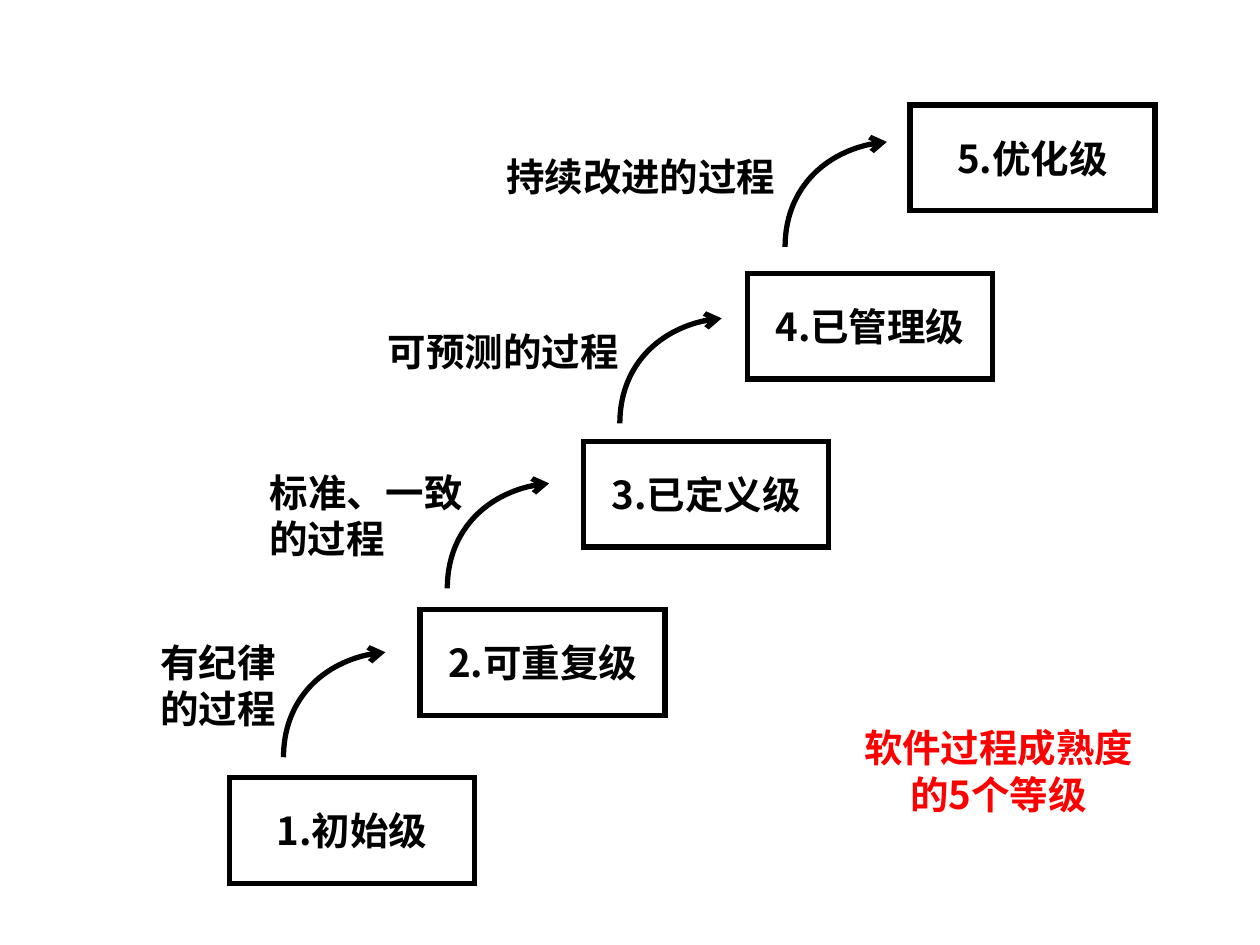
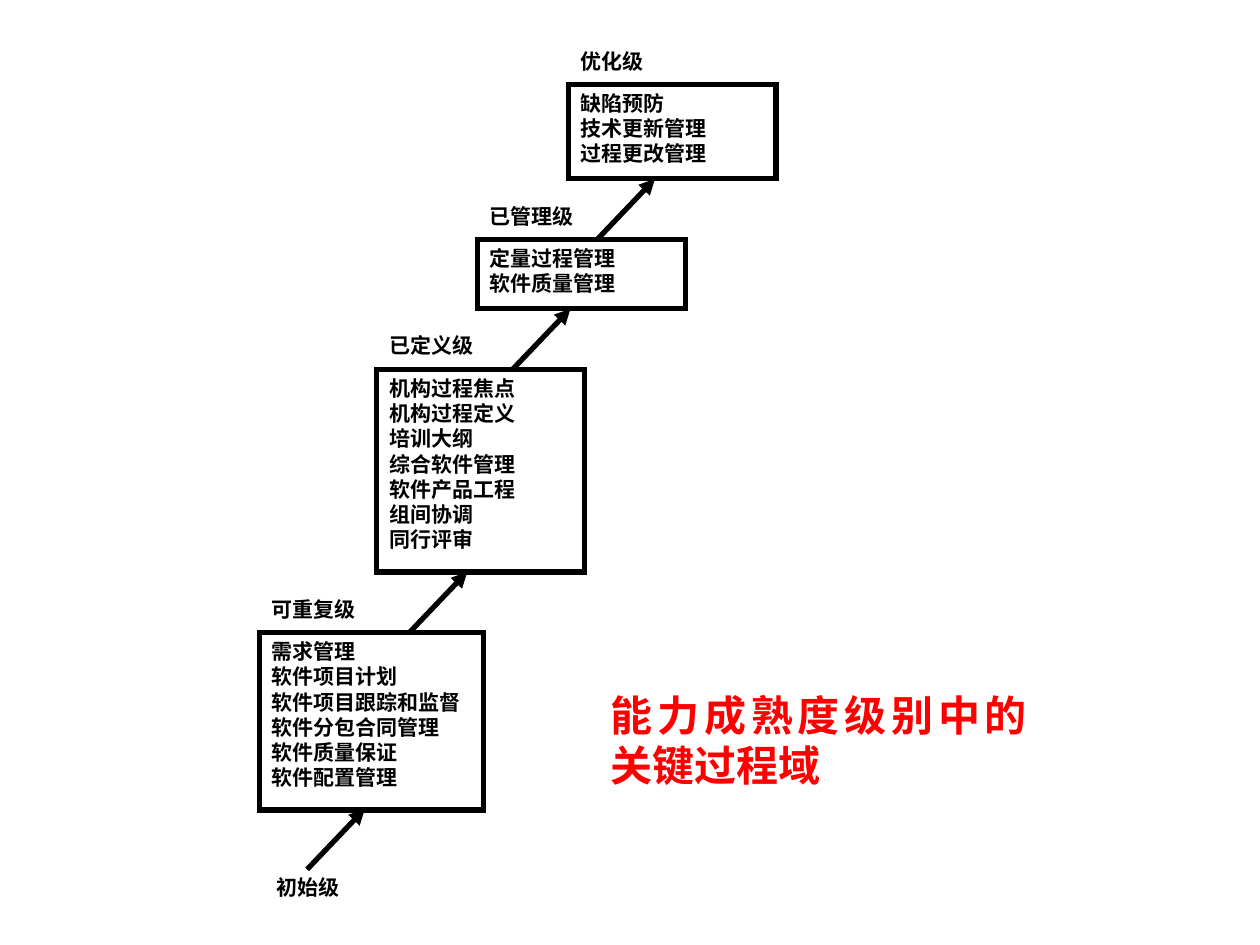
from lxml import etree
from pptx import Presentation
from pptx.dml.color import RGBColor
from pptx.enum.shapes import MSO_CONNECTOR, MSO_SHAPE
from pptx.enum.text import MSO_ANCHOR, PP_ALIGN
from pptx.oxml.ns import qn
from pptx.util import Pt

BLACK = RGBColor(0, 0, 0)
RED = RGBColor(255, 0, 0)
SANS = "Noto Sans CJK SC"
SERIF = "Times New Roman"
CENTER, JUSTIFY = PP_ALIGN.CENTER, PP_ALIGN.JUSTIFY
TOP, MIDDLE = MSO_ANCHOR.TOP, MSO_ANCHOR.MIDDLE
RECT, STRAIGHT = MSO_SHAPE.RECTANGLE, MSO_CONNECTOR.STRAIGHT

# Maturity ladder, from the top step down
LEVELS = [("5.优化级", 520), ("4.已管理级", 427), ("3.已定义级", 333.5),
          ("2.可重复级", 240), ("1.初始级", 131)]
CURVES = [(448.6, 141.1), (354.2, 241.9), (255.6, 336.2), (162, 432.7)]
NOTES = [("持续改进的过程", (282.2, 84.2, 177.1, 32.4), JUSTIFY),
         ("可预测的过程", (214.6, 184.3, 150.5, 32.4), JUSTIFY),
         ("标准、一致的过程", (146.9, 264.2, 124.6, 60.5), JUSTIFY),
         ("有纪律的过程", (77.8, 361.4, 93.6, 59.8), CENTER)]

# Key process areas: name, box, lines, start of the arrow that leaves it
AREAS = [
    ("优化级", (324.7, 48.2, 118.8, 54),
     ["缺陷预防", "技术更新管理", "过程更改管理"], None),
    ("已管理级", (272.9, 136.8, 118.8, 39.6),
     ["定量过程管理", "软件质量管理"], 341.3),
    ("已定义级", (215.3, 211, 118.8, 115.9),
     ["机构过程焦点", "机构过程定义", "培训大纲", "综合软件管理",
      "软件产品工程", "组间协调", "同行评审"], 293),
    ("可重复级", (148.3, 361.4, 128.2, 101.5),
     ["需求管理", "软件项目计划", "软件项目跟踪和监督",
      "软件分包合同管理", "软件质量保证", "软件配置管理"], 234),
]


def pts(*nums):
    return [Pt(n) for n in nums]


def stroke(shape, head=None):
    """Draw a black 3 pt line with sharp corners and an optional arrowhead."""
    shape.line.color.rgb = BLACK
    shape.line.width = Pt(3)
    ln = shape.line._get_or_add_ln()
    etree.SubElement(ln, qn("a:miter"), lim="800000")
    if head:
        etree.SubElement(ln, qn("a:tailEnd"), type=head)


def write(shape, lines, size, color=BLACK, face=SERIF, align=JUSTIFY, anchor=TOP):
    frame = shape.text_frame
    frame.word_wrap = True
    frame.vertical_anchor = anchor
    frame.text = "\n".join(lines)
    for para in frame.paragraphs:
        para.alignment = align
        font = para.font
        font.size, font.bold, font.name = Pt(size), True, face
        font.color.rgb = color
        props = para._p.pPr.find(qn("a:defRPr"))
        etree.SubElement(props, qn("a:ea"), typeface=SANS)


def label(slide, area, lines, size, **style):
    write(slide.shapes.add_textbox(*pts(*area)), lines, size, **style)


def box(slide, area, lines, size, **style):
    rect = slide.shapes.add_shape(RECT, *pts(*area))
    rect.shadow.inherit = False
    rect.fill.background()
    stroke(rect)
    write(rect, lines, size, **style)


def curve(slide, x, y):
    """Rise from (x, y) and bend right to an arrowhead."""
    path = [(x, y - 31.5), (x + 25.5, y - 58), (x + 58.2, y - 60)]
    form = slide.shapes.build_freeform(Pt(x), Pt(y))
    form.add_line_segments([pts(*p) for p in path], close=False)
    arc = form.convert_to_shape()
    # Turn the three segments into one Bezier curve
    segs = list(arc._element.iter(qn("a:lnTo")))
    bend = etree.SubElement(segs[0].getparent(), qn("a:cubicBezTo"))
    for seg in segs:
        bend.append(seg[0])
        seg.getparent().remove(seg)
    arc.shadow.inherit = False
    arc.fill.background()
    stroke(arc, "arrow")


def arrow(slide, x, y):
    line = slide.shapes.add_connector(
        STRAIGHT, *pts(x, y, x + 33, y - 34.6))
    stroke(line, "triangle")
    etree.SubElement(line._element.spPr, qn("a:effectLst"))


def ladder(slide):
    for i, (name, left) in enumerate(LEVELS):
        box(slide, (left, 60 + 96.1 * i, 140, 60.5), [name], 22,
            face=SANS, align=CENTER, anchor=MIDDLE)
    for x, y in CURVES:
        curve(slide, x, y)
    for text, area, align in NOTES:
        label(slide, area, [text], 22, align=align, anchor=MIDDLE)
    label(slide, (482.4, 406.1, 176.4, 68.4), ["软件过程成熟度", "的5个等级"], 22,
          color=RED, face=SANS, align=CENTER, anchor=MIDDLE)


def domains(slide):
    for name, area, lines, start in AREAS:
        left, top = area[:2]
        box(slide, area, lines, 12)
        label(slide, (left, top - 24.3, 72, 25.2), [name], 12)
        if start:
            arrow(slide, start, top)
    # Ground level
    label(slide, (151.2, 496, 72, 25.2), ["初始级"], 12)
    arrow(slide, 175.5, 496.8)
    label(slide, (342, 390.2, 252, 77.8), ["能力成熟度级别中的关键过程域"], 24,
          color=RED)


def main():
    deck = Presentation()
    deck.slide_width, deck.slide_height = pts(720, 540)
    for draw in (ladder, domains):
        draw(deck.slides.add_slide(deck.slide_layouts[6]))
    deck.save("out.pptx")


if __name__ == "__main__":
    main()
